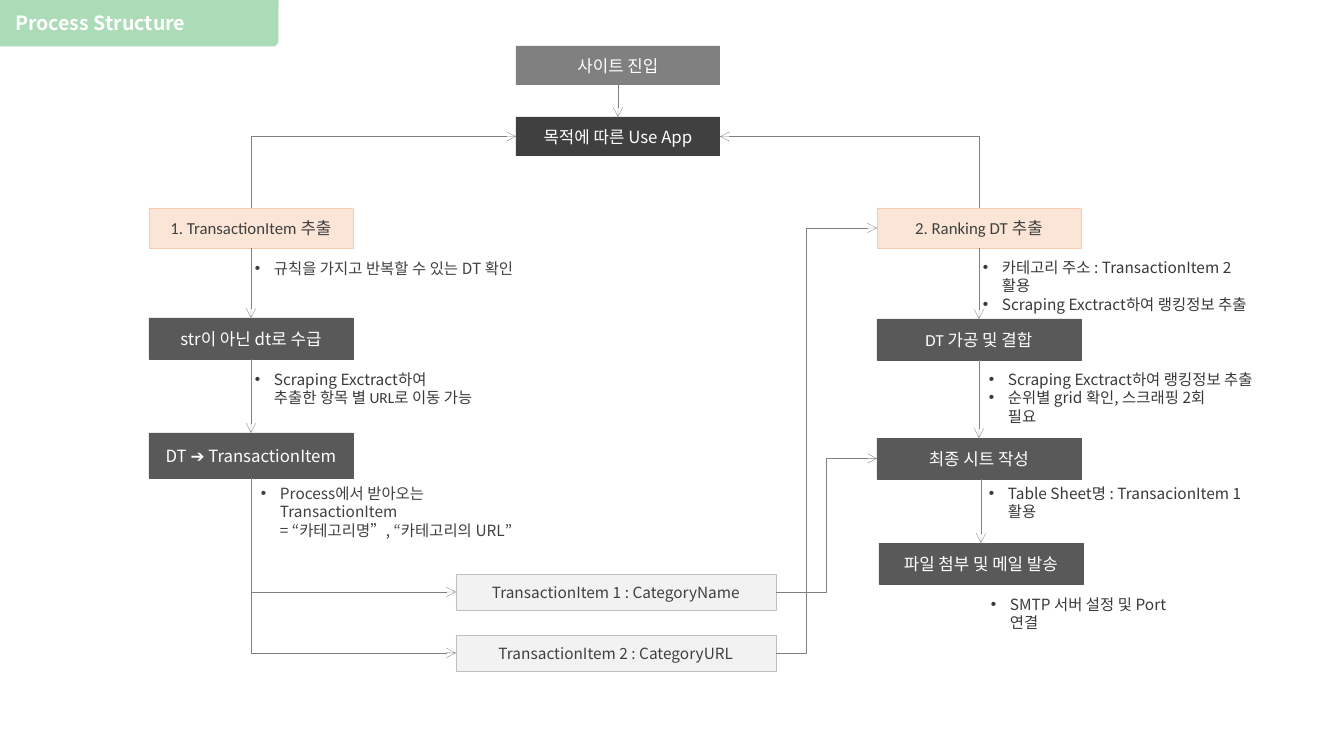
"""Build the Process Structure flowchart slide."""
from lxml import etree
from pptx import Presentation
from pptx.dml import color
from pptx.enum import shapes, text
from pptx.oxml import ns
from pptx.util import Emu, Pt

EMU_PER_PX = 914400 / 100.8
SLIDE_SIZE = 1344, 756
NOTO, CALIBRI = "Noto Sans CJK KR", "Calibri"
COLORS = {
    "green": "ACDCB7", "white": "FFFFFF", "gray": "808080", "dark": "404040",
    "step": "595959", "peach": "FBE5D6", "peach_line": "F8CBAD",
    "pale": "F2F2F2", "pale_line": "BFBFBF", "note": "3B3838",
}
TITLE = "Process Structure"
TAB = 0, 0, 278, 46
TITLE_BOX = 15, 14, 256, 21

# style: fill, line, font colour, font size
STYLES = {
    "entry": ("gray", None, "white", 12),
    "purpose": ("dark", None, "white", 12),
    "branch": ("peach", "peach_line", "dark", 12),
    "step": ("step", "step", "white", 12),
    "item": ("pale", "pale_line", "dark", 11),
}
BOXES = {
    "entry": ("사이트 진입", "entry", NOTO, (516, 46, 204, 39)),
    "purpose": ("목적에 따른 Use App", "purpose", NOTO, (516, 117, 204, 39)),
    "extract": ("1. TransactionItem 추출", "branch", CALIBRI, (149, 208, 204, 40)),
    "supply": ("str이 아닌 dt로 수급", "step", NOTO, (149, 318, 204, 41)),
    "convert": ("DT ➔ TransactionItem", "step", NOTO, (149, 433, 204, 45)),
    "name": ("TransactionItem 1 : CategoryName", "item", NOTO, (456, 574, 320, 36)),
    "url": ("TransactionItem 2 : CategoryURL", "item", NOTO, (456, 635, 320, 36)),
    "ranking": ("2. Ranking DT 추출", "branch", CALIBRI, (877, 208, 204, 40)),
    "combine": ("DT 가공 및 결합", "step", CALIBRI, (877, 319, 204, 41)),
    "sheet": ("최종 시트 작성", "step", CALIBRI, (877, 438, 204, 41)),
    "mail": ("파일 첨부 및 메일 발송", "step", CALIBRI, (879, 543, 204, 41)),
}
NOTES = [
    ((245, 254, 295, 29), "dark",
     [(True, [("규칙을 가지고 반복할 수 있는 DT 확인", NOTO)])]),
    ((245, 365, 280, 47), "note",
     [(True, [("Scraping Exctract하여", NOTO)]),
      (False, [("추출한 ", NOTO), ("항목 별 URL로 이동 가능", CALIBRI)])]),
    ((251, 479, 308, 66), "dark",
     [(True, [("Process에서 받아오는\vTransactionItem", NOTO)]),
      (False, [("= “카테고리명”, “카테고리의 URL”", NOTO)])]),
    ((973, 253, 307, 66), "note",
     [(True, [("카테고리 주소 : TransactionItem 2\v활용", NOTO)]),
      (True, [("Scraping Exctract하여 랭킹정보 추출", NOTO)])]),
    ((979, 365, 305, 66), "note",
     [(True, [("Scraping Exctract하여 랭킹정보 추출", NOTO)]),
      (True, [("순위별 grid 확인, 스크래핑 2회\v필요", NOTO)])]),
    ((979, 479, 305, 47), "note",
     [(True, [("Table Sheet명 : TransacionItem 1\v활용", NOTO)])]),
    ((981, 590, 239, 47), "note",
     [(True, [("SMTP 서버 설정 및 Port\v연결", NOTO)])]),
]
TOP, LEFT, BOTTOM, RIGHT = range(4)
STRAIGHT = [("entry", "purpose"), ("extract", "supply"), ("supply", "convert"),
            ("ranking", "combine"), ("combine", "sheet"), ("sheet", "mail")]
CORNERS = [("extract", TOP, "purpose", LEFT), ("ranking", TOP, "purpose", RIGHT),
           ("convert", BOTTOM, "name", LEFT), ("convert", BOTTOM, "url", LEFT)]
STEPS = [("name", "sheet", 50000), ("url", "ranking", 29500)]


def px(*values):
    return [Emu(round(value * EMU_PER_PX)) for value in values]


def rgb(name):
    return color.RGBColor.from_string(COLORS[name])


def paint(shape, fill, line, width=0.25):
    shape.shadow.inherit = False
    shape.fill.solid()
    shape.fill.fore_color.rgb = rgb(fill)
    if line:
        shape.line.color.rgb = rgb(line)
        shape.line.width = Pt(width)
    else:
        shape.line.fill.background()


def set_font(font, name, size, color_name):
    font.name, font.size = name, Pt(size)
    font.color.rgb = rgb(color_name)


def set_insets(frame, inset):
    frame.margin_left = frame.margin_right = inset
    frame.margin_top = frame.margin_bottom = inset
    frame.vertical_anchor = text.MSO_ANCHOR.MIDDLE


def add_title(slide):
    title = slide.shapes.title
    title.left, title.top, title.width, title.height = px(*TITLE_BOX)
    frame = title.text_frame
    frame.text = TITLE
    frame.auto_size = text.MSO_AUTO_SIZE.NONE
    set_insets(frame, 0)
    paragraph = frame.paragraphs[0]
    paragraph.alignment = text.PP_ALIGN.LEFT
    paragraph.line_spacing = 0.9
    set_font(paragraph.font, NOTO, 14, "white")
    paragraph.font.bold = True
    tab = slide.shapes.add_shape(shapes.MSO_SHAPE.ROUND_1_RECTANGLE, *px(*TAB))
    tab.adjustments[0] = 0.11
    paint(tab, "green", "green", 0.75)
    tab.element.spPr.find(ns.qn("a:xfrm")).set("flipV", "1")
    title.element.addprevious(tab.element)


def add_box(slide, label, style, font_name, bounds):
    fill, line, font_color, size = STYLES[style]
    box = slide.shapes.add_shape(shapes.MSO_SHAPE.RECTANGLE, *px(*bounds))
    paint(box, fill, line)
    set_insets(box.text_frame, px(2)[0])
    paragraph = box.text_frame.paragraphs[0]
    paragraph.text = label
    paragraph.alignment = text.PP_ALIGN.CENTER
    set_font(paragraph.font, font_name, size, font_color)
    return box


def add_note(slide, bounds, font_color, lines):
    frame = slide.shapes.add_textbox(*px(*bounds)).text_frame
    frame.word_wrap = True
    for index, (bulleted, runs) in enumerate(lines):
        paragraph = frame.add_paragraph() if index else frame.paragraphs[0]
        set_font(paragraph.font, runs[0][1], 11, font_color)
        if len(runs) == 1:
            paragraph.text = runs[0][0]
        else:
            for content, font_name in runs:
                run = paragraph.add_run()
                run.text = content
                run.font.name = font_name
        properties = paragraph._p.get_or_add_pPr()
        indent = px(19)[0]
        properties.set("marL", str(indent))
        properties.set("indent", str(-indent if bulleted else 0))
        if bulleted:
            font_properties = properties.find(ns.qn("a:defRPr"))
            font_properties.addprevious(etree.Element(ns.qn("a:buFont"), typeface="Arial"))
            font_properties.addprevious(etree.Element(ns.qn("a:buChar"), char="•"))


def add_arrow(slide, kind, start=(0, 0), end=(0, 0), arrow_end="tailEnd"):
    connector = slide.shapes.add_connector(kind, *start, *end)
    connector.line.color.rgb = rgb("gray")
    connector.line.width = Pt(0.25)
    properties = connector.element.spPr
    etree.SubElement(properties.find(ns.qn("a:ln")), ns.qn(f"a:{arrow_end}"), type="arrow")
    etree.SubElement(properties, ns.qn("a:effectLst"))
    return connector, properties.find(ns.qn("a:prstGeom"))


def add_arrows(slide, boxes):
    kinds = shapes.MSO_CONNECTOR
    for source, target in ((boxes[a], boxes[b]) for a, b in STRAIGHT):
        x = target.left + target.width // 2
        start = x, source.top + source.height
        connector, _ = add_arrow(slide, kinds.STRAIGHT, start, (x, target.top))
        if source.left == target.left:
            connector.begin_connect(source, BOTTOM)
        connector.end_connect(target, TOP)
    for source, source_side, target, target_side in CORNERS:
        connector, geometry = add_arrow(slide, kinds.ELBOW, arrow_end="headEnd")
        connector.begin_connect(boxes[target], target_side)
        connector.end_connect(boxes[source], source_side)
        geometry.set("prst", "bentConnector2")
    for source, target, bend in STEPS:
        connector, geometry = add_arrow(slide, kinds.ELBOW)
        connector.begin_connect(boxes[source], RIGHT)
        connector.end_connect(boxes[target], LEFT)
        guides = geometry.find(ns.qn("a:avLst"))
        etree.SubElement(guides, ns.qn("a:gd"), name="adj1", fmla=f"val {bend}")


def main():
    presentation = Presentation()
    presentation.slide_width, presentation.slide_height = px(*SLIDE_SIZE)
    slide = presentation.slides.add_slide(presentation.slide_layouts[5])
    add_title(slide)
    boxes = {name: add_box(slide, *box) for name, box in BOXES.items()}
    add_arrows(slide, boxes)
    for note in NOTES:
        add_note(slide, *note)
    presentation.save("out.pptx")


if __name__ == "__main__":
    main()
